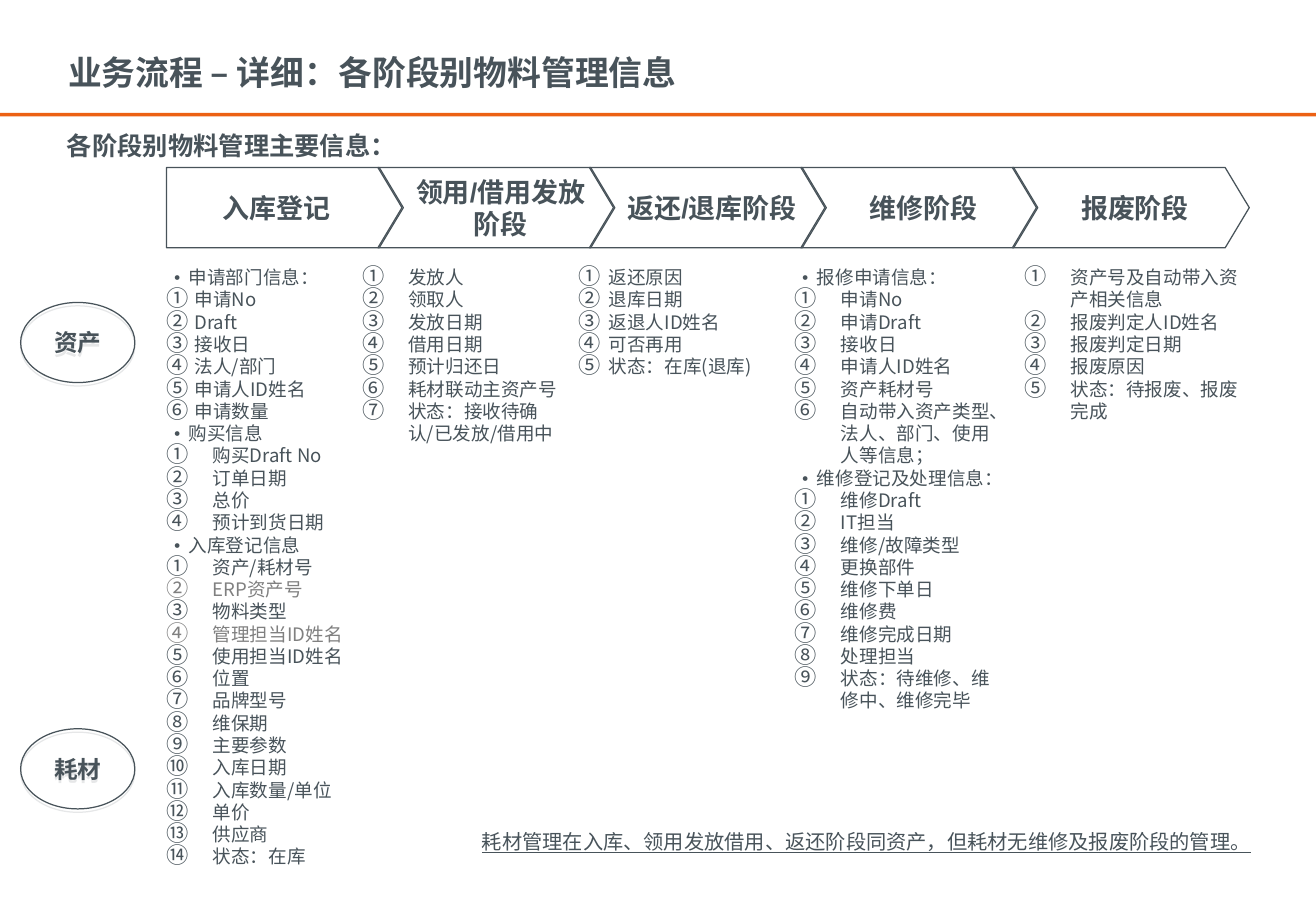
import pptx
import pptx.dml.color
import pptx.enum.shapes
import pptx.enum.text
import pptx.oxml
import pptx.oxml.ns
import pptx.util

RGBColor = pptx.dml.color.RGBColor
Inches = pptx.util.Inches
Pt = pptx.util.Pt
SHAPE = pptx.enum.shapes.MSO_SHAPE
ALIGN = pptx.enum.text.PP_ALIGN
ANCHOR = pptx.enum.text.MSO_ANCHOR

SLATE = RGBColor(0x48, 0x53, 0x5A)
GRAY = RGBColor(0x80, 0x80, 0x80)
ORANGE = RGBColor(0xEC, 0x61, 0x14)

STAGES = ["入库登记", "领用/借用发放阶段", "返还/退库阶段", "维修阶段", "报废阶段"]
GRAY_ITEMS = {"ERP资产号", "管理担当ID姓名"}

# Each list: left, width, height in percent of the slide, then its sections
# as (heading, item indent in inches, items).
STAGE_LISTS = [
    (12.65, 14.87, 69.07, [
        ("申请部门信息：", 0.23,
         ["申请No", "Draft", "接收日", "法人/部门", "申请人ID姓名", "申请数量"]),
        ("购买信息", 0.38, ["购买Draft No", "订单日期", "总价", "预计到货日期"]),
        ("入库登记信息", 0.38,
         ["资产/耗材号", "ERP资产号", "物料类型", "管理担当ID姓名", "使用担当ID姓名",
          "位置", "品牌型号", "维保期", "主要参数", "入库日期", "入库数量/单位",
          "单价", "供应商", "状态：在库"]),
    ]),
    (27.52, 15.79, 19.73, [
        (None, 0.38,
         ["发放人", "领取人", "发放日期", "借用日期", "预计归还日",
          "耗材联动主资产号", "状态：接收待确认/已发放/借用中"]),
    ]),
    (43.95, 15.79, 12.4, [
        (None, 0.25,
         ["返还原因", "退库日期", "返退人ID姓名", "可否再用", "状态：在库(退库)"]),
    ]),
    (60.39, 15.79, 49.33, [
        ("报修申请信息：", 0.38,
         ["申请No", "申请Draft", "接收日", "申请人ID姓名", "资产耗材号",
          "自动带入资产类型、法人、部门、使用人等信息；"]),
        ("维修登记及处理信息：", 0.38,
         ["维修Draft", "IT担当", "维修/故障类型", "更换部件", "维修下单日",
          "维修费", "维修完成日期", "处理担当", "状态：待维修、维修中、维修完毕"]),
    ]),
    (77.84, 16.99, 19.73, [
        (None, 0.38,
         ["资产号及自动带入资产相关信息", "报废判定人ID姓名", "报废判定日期",
          "报废原因", "状态：待报废、报废完成"]),
    ]),
]


def add_xml(parent, tag, **attributes):
    element = pptx.oxml.parse_xml(f"<{tag} {pptx.oxml.ns.nsdecls('a')}/>")
    for name, value in attributes.items():
        element.set(name, str(value))
    parent.append(element)
    return element


class SlideBuilder:
    """Places elements on one slide; boxes are (left, top, width, height) in percent."""

    font_name = "Noto Sans CJK SC"

    def __init__(self, presentation):
        self.presentation = presentation
        self.slide = presentation.slides.add_slide(presentation.slide_layouts[4])
        self.bodies = [holder for holder in self.slide.placeholders
                       if holder.placeholder_format.idx > 0]

    def lengths(self, box):
        width, height = self.presentation.slide_width, self.presentation.slide_height
        return [round(share * side / 100)
                for share, side in zip(box, (width, height, width, height))]

    def move(self, shape, box):
        shape.left, shape.top, shape.width, shape.height = self.lengths(box)

    def frame(self, shape, margins, anchor=ANCHOR.TOP):
        """Set wrapping, anchor and margins (left, top, right, bottom, inches)."""
        frame = shape.text_frame
        frame.word_wrap = True
        frame.auto_size = pptx.enum.text.MSO_AUTO_SIZE.NONE
        frame.vertical_anchor = anchor
        (frame.margin_left, frame.margin_top,
         frame.margin_right, frame.margin_bottom) = map(Inches, margins)
        return frame

    def add_styled_run(self, paragraph, text, size, bold=False, color=SLATE,
                       align=ALIGN.LEFT, latin=font_name, underline=None):
        paragraph.alignment = align
        paragraph.space_before = Pt(0)
        run = paragraph.add_run()
        run.text = text
        font = run.font
        font.size, font.bold, font.name = Pt(size), bold, latin
        font.underline = underline
        font.color.rgb = color
        add_xml(run._r.get_or_add_rPr(), "a:ea", typeface=self.font_name)

    def add_title(self, box, text):
        shape = self.slide.shapes.title
        self.move(shape, box)
        frame = self.frame(shape, (0.1, 0.05, 0.1, 0.05), ANCHOR.MIDDLE)
        self.add_styled_run(frame.paragraphs[0], text, 20, bold=True)

    def add_text(self, box, text, size, margins=(0, 0, 0, 0), line_spacing=None, **style):
        shape = self.slide.shapes.add_textbox(*self.lengths(box))
        paragraph = self.frame(shape, margins).paragraphs[0]
        paragraph.line_spacing = line_spacing
        self.add_styled_run(paragraph, text, size, **style)

    def add_shape(self, kind, box, fill=None, line=None):
        shape = self.slide.shapes.add_shape(kind, *self.lengths(box))
        shape.shadow.inherit = False
        for part, color in ((shape.fill, fill), (shape.line.fill, line)):
            if color is None:
                part.background()
            else:
                part.solid()
                part.fore_color.rgb = color
        if line is not None:
            shape.line.width = Pt(0.75)
        return shape

    def add_stage(self, box, text, first):
        kind = SHAPE.PENTAGON if first else SHAPE.CHEVRON
        shape = self.add_shape(kind, box, line=SLATE)
        shape.adjustments[0] = 0.3
        margins = (0.11, 0, 0.15 if first else 0.04, 0)
        frame = self.frame(shape, margins, ANCHOR.MIDDLE)
        self.add_styled_run(frame.paragraphs[0], text, 16, bold=True,
                            align=ALIGN.CENTER, latin="Arial")

    def add_category(self, box, text):
        shape = self.add_shape(SHAPE.OVAL, box, line=SLATE)
        effects = shape._element.spPr.find(pptx.oxml.ns.qn("a:effectLst"))
        shadow = add_xml(effects, "a:outerShdw", dist=Pt(2), dir=90 * 60000,
                         algn="ctr", rotWithShape=0)
        add_xml(shadow, "a:srgbClr", val="E6E7E8")
        frame = self.frame(shape, (0, 0, 0, 0), ANCHOR.MIDDLE)
        self.add_styled_run(frame.paragraphs[0], text, 14, bold=True,
                            align=ALIGN.CENTER)

    def add_list(self, box, sections):
        """Fill the next body placeholder, or a text box once all are in use."""
        if self.bodies:
            shape = self.bodies.pop(0)
            self.move(shape, box)
        else:
            shape = self.slide.shapes.add_textbox(*self.lengths(box))
        frame = self.frame(shape, (0, 0, 0, 0))
        entries = []
        for heading, indent, items in sections:
            if heading:
                entries.append((heading, 0.14, 0))
            entries += [(item, indent, 1) for item in items]
        for index, (text, indent, level) in enumerate(entries):
            paragraph = frame.add_paragraph() if index else frame.paragraphs[0]
            paragraph.level = level
            properties = paragraph._p.get_or_add_pPr()
            properties.set("marL", str(Inches(indent)))
            properties.set("indent", str(-Inches(indent)))
            add_xml(properties, "a:buSzPct", val=120000)
            add_xml(properties, "a:buFont", typeface=self.font_name)
            if level:
                add_xml(properties, "a:buAutoNum", type="circleNumDbPlain")
            else:
                add_xml(properties, "a:buChar", char="•")
            self.add_styled_run(paragraph, text, 11,
                                color=GRAY if text in GRAY_ITEMS else SLATE)


def main():
    presentation = pptx.Presentation()
    presentation.slide_width = Inches(10.83)
    presentation.slide_height = Inches(7.5)
    builder = SlideBuilder(presentation)

    builder.add_shape(SHAPE.RECTANGLE, (0, 12.4, 100, 0.4), fill=ORANGE)
    builder.add_title((4.25, 5.73, 70.08, 4.4), "业务流程 – 详细：各阶段别物料管理信息")
    builder.add_text((4.25, 12.93, 90.95, 4.13), "各阶段别物料管理主要信息：", 15,
                     margins=(0.09, 0.05, 0.09, 0.05), line_spacing=1.2, bold=True)
    for index, stage in enumerate(STAGES):
        builder.add_stage((12.65 + 16.07 * index, 18.4, 18, 8.8), stage, index == 0)
    for left, width, height, sections in STAGE_LISTS:
        builder.add_list((left, 29.2, width, height), sections)
    for top, category in ((33.2, "资产"), (80, "耗材")):
        builder.add_category((1.57, top, 8.68, 8.8), category)
    builder.add_text((27.42, 91.07, 67.68, 2.67),
                     "耗材管理在入库、领用发放借用、返还阶段同资产，但耗材无维修及报废阶段的管理。",
                     12, align=ALIGN.RIGHT, underline=True)
    presentation.save("out.pptx")


if __name__ == "__main__":
    main()
